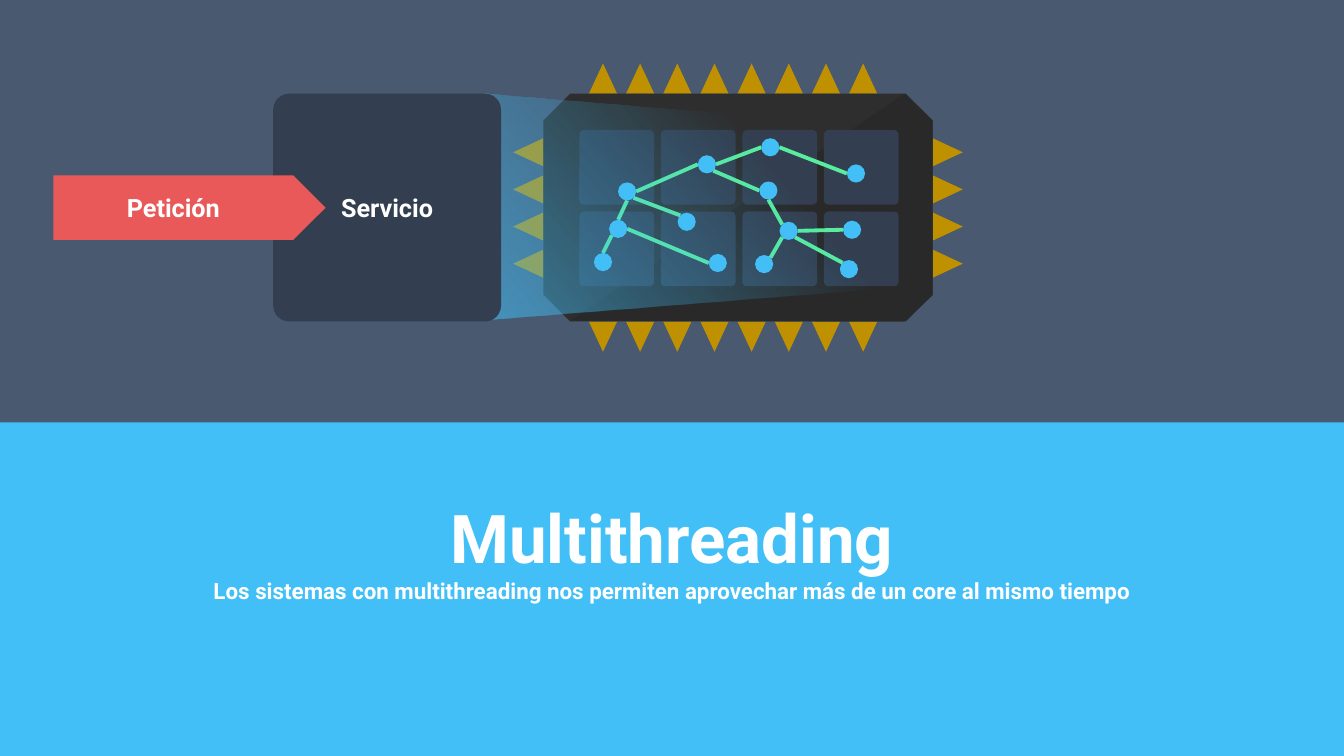
from collections import namedtuple

from lxml import etree
from pptx import Presentation
from pptx import util as u
from pptx.dml.color import RGBColor
from pptx.enum import shapes, text
from pptx.oxml import ns

SLATE = RGBColor(0x48, 0x59, 0x70)
NAVY = RGBColor(0x33, 0x3F, 0x50)
GOLD = RGBColor(0xBF, 0x90, 0x00)
CHIP = RGBColor(0x2E, 0x2E, 0x2E)
CHIP_SHADE = RGBColor(0x29, 0x29, 0x29)
GREEN = RGBColor(0x58, 0xEC, 0x9F)
BLUE = RGBColor(0x43, 0xBF, 0xF7)
RED = RGBColor(0xE9, 0x59, 0x59)
WHITE = RGBColor(0xFF, 0xFF, 0xFF)

FONT = "Roboto"
NODE_SIZE = 0.18
NODES = {
    "A": (42, 31), "B": (21.5, 42.9), "C": (19.2, 59.3), "D": (15.3, 73.9),
    "E": (36.8, 56.2), "F": (44.8, 74.3), "G": (58.3, 23.5), "H": (80.3, 35),
    "I": (57.8, 42.5), "J": (63, 60.2), "K": (56.7, 74.8), "L": (78.5, 77),
    "M": (79.3, 59.7),
}
SITES = {
    "top": (0, -1), "bottom": (0, 1), "left": (-1, 0), "right": (1, 0),
    "top left": (-0.7, -0.7), "top right": (0.7, -0.7),
    "bottom left": (-0.7, 0.7), "bottom right": (0.7, 0.7),
}
THREADS = [
    ("A", "left", "B", "right"), ("B", "bottom", "C", "top"),
    ("C", "bottom left", "D", "top"), ("B", "bottom right", "E", "top left"),
    ("C", "right", "F", "left"), ("I", "bottom", "J", "top left"),
    ("J", "bottom left", "K", "top right"), ("J", "bottom right", "L", "top left"),
    ("A", "bottom right", "I", "left"), ("J", "right", "M", "left"),
    ("G", "left", "A", "right"), ("G", "right", "H", "left"),
]


class Box(namedtuple("Box", "left top width height")):
    """A rectangle in inches."""

    def at(self, across, down):
        """Return the point at the given percentages of the box."""
        return (self.left + self.width * across / 100,
                self.top + self.height * down / 100)


def paint(shape, color):
    """Give a shape a plain fill without line or shadow."""
    shape.shadow.inherit = False
    shape.line.fill.background()
    shape.fill.solid()
    shape.fill.fore_color.rgb = color
    return shape


def add_preset(slide, kind, box, color, adjustment=None):
    """Add a preset shape that fills the box."""
    shape = slide.shapes.add_shape(kind, *(u.Inches(length) for length in box))
    if adjustment is not None:
        shape.adjustments[0] = adjustment
    return paint(shape, color)


def add_polygon(slide, points, color):
    """Add a closed outline through points in inches."""
    corners = [(u.Inches(x), u.Inches(y)) for x, y in points]
    builder = slide.shapes.build_freeform(*corners[0])
    builder.add_line_segments(corners[1:], close=True)
    return paint(builder.convert_to_shape(), color)


def write(shape, lines):
    """Write centred bold white lines, given as pairs of wording and size."""
    frame = shape.text_frame
    frame.word_wrap = True
    frame.vertical_anchor = text.MSO_ANCHOR.MIDDLE
    frame.text = "\n".join(wording for wording, _ in lines)
    for paragraph, (_, size) in zip(frame.paragraphs, lines):
        paragraph.alignment = text.PP_ALIGN.CENTER
        font = paragraph.runs[0].font
        font.name, font.size, font.bold = FONT, u.Pt(size), True
        font.color.rgb = WHITE


def add_pins(slide, box):
    """Add the gold pins around the chip."""
    half, length = 0.14, 0.3
    for column in range(8):
        for edge, direction in ((0, -1), (100, 1)):
            x, y = box.at(15.3 + 9.55 * column, edge)
            add_polygon(slide, [(x - half, y), (x + half, y),
                                (x, y + direction * length)], GOLD)
    for row in range(4):
        for edge, direction in ((0, -1), (100, 1)):
            x, y = box.at(edge, 25.7 + 16.3 * row)
            add_polygon(slide, [(x, y - half), (x, y + half),
                                (x + direction * length, y)], GOLD)


def add_threads(slide, box):
    """Add the tree of threads over the cores."""
    radius = NODE_SIZE / 2

    def site(node, side):
        """Return the point on the rim of a node."""
        x, y = box.at(*NODES[node])
        return x + radius * SITES[side][0], y + radius * SITES[side][1]

    for start, start_side, end, end_side in THREADS:
        ends = site(start, start_side) + site(end, end_side)
        line = slide.shapes.add_connector(
            shapes.MSO_CONNECTOR.STRAIGHT, *(u.Inches(length) for length in ends))
        line.line.color.rgb = GREEN
        line.line.width = u.Pt(2.75)
        etree.SubElement(line._element.spPr, ns.qn("a:effectLst"))
    for place in NODES.values():
        x, y = box.at(*place)
        add_preset(slide, shapes.MSO_SHAPE.OVAL,
                   Box(x - radius, y - radius, NODE_SIZE, NODE_SIZE), BLUE)


def add_processor(slide, box):
    """Add the chip with its pins, cores and threads."""
    add_pins(slide, box)
    add_preset(slide, shapes.MSO_SHAPE.OCTAGON, box, CHIP, 0.117)
    shade = [(7, 99.6), (92.7, 0), (100, 12), (100, 88.5), (92.7, 100)]
    add_polygon(slide, [box.at(*point) for point in shade], CHIP_SHADE)
    core = box.height * 0.328
    for row in range(2):
        for column in range(4):
            place = box.at(9.2 + 20.95 * column, 15.9 + 35.8 * row)
            add_preset(slide, shapes.MSO_SHAPE.ROUNDED_RECTANGLE,
                       Box(*place, core, core), NAVY, 0.062)
    add_threads(slide, box)


def add_title_band(slide, box):
    """Add the blue band with title and subtitle."""
    band = add_preset(slide, shapes.MSO_SHAPE.RECTANGLE, box, BLUE)
    band.text_frame.margin_bottom = u.Inches(box.height * 0.25)
    write(band, [
        ("Multithreading", 48),
        ("Los sistemas con multithreading nos permiten aprovechar más de un core "
         "al mismo tiempo", 16),
    ])


def add_beam(slide, box):
    """Add the fading light between service and chip."""
    outline = [(0, 0), (97.4, 15.2), (99, 16.5), (99.8, 19.7),
               (99.8, 81.3), (99, 84.4), (97.4, 85.7), (0.7, 100)]
    beam = add_polygon(slide, [box.at(*point) for point in outline], BLUE)
    beam.fill.gradient()
    beam.fill.gradient_angle = 40
    for stop, position in zip(beam.fill.gradient_stops, (0, 0.68)):
        stop.color.rgb = BLUE
        stop.position = position
    colors = beam._element.spPr.iter(ns.qn("a:srgbClr"))
    for color, opacity in zip(list(colors), (56, 0)):
        etree.SubElement(color, ns.qn("a:alpha"), val=str(opacity * 1000))


def add_request(slide, service_box, arrow_box):
    """Add the service and the request that enters it."""
    service = add_preset(slide, shapes.MSO_SHAPE.ROUNDED_RECTANGLE,
                         service_box, NAVY, 0.07)
    write(service, [("Servicio", 18)])
    request = add_preset(slide, shapes.MSO_SHAPE.RIGHT_ARROW, arrow_box, RED, 1)
    write(request, [("Petición", 18)])


def main():
    """Build the slide and save it."""
    presentation = Presentation()
    presentation.slide_width = u.Inches(13.33)
    presentation.slide_height = u.Inches(7.5)
    slide = presentation.slides.add_slide(presentation.slide_layouts[6])
    slide.background.fill.solid()
    slide.background.fill.fore_color.rgb = SLATE
    add_processor(slide, Box(5.39, 0.93, 3.86, 2.26))
    add_title_band(slide, Box(0, 4.19, 13.33, 3.31))
    add_beam(slide, Box(4.81, 0.93, 4.18, 2.24))
    add_request(slide, Box(2.71, 0.93, 2.26, 2.26), Box(0.53, 1.74, 2.7, 0.64))
    presentation.save("out.pptx")


if __name__ == "__main__":
    main()
